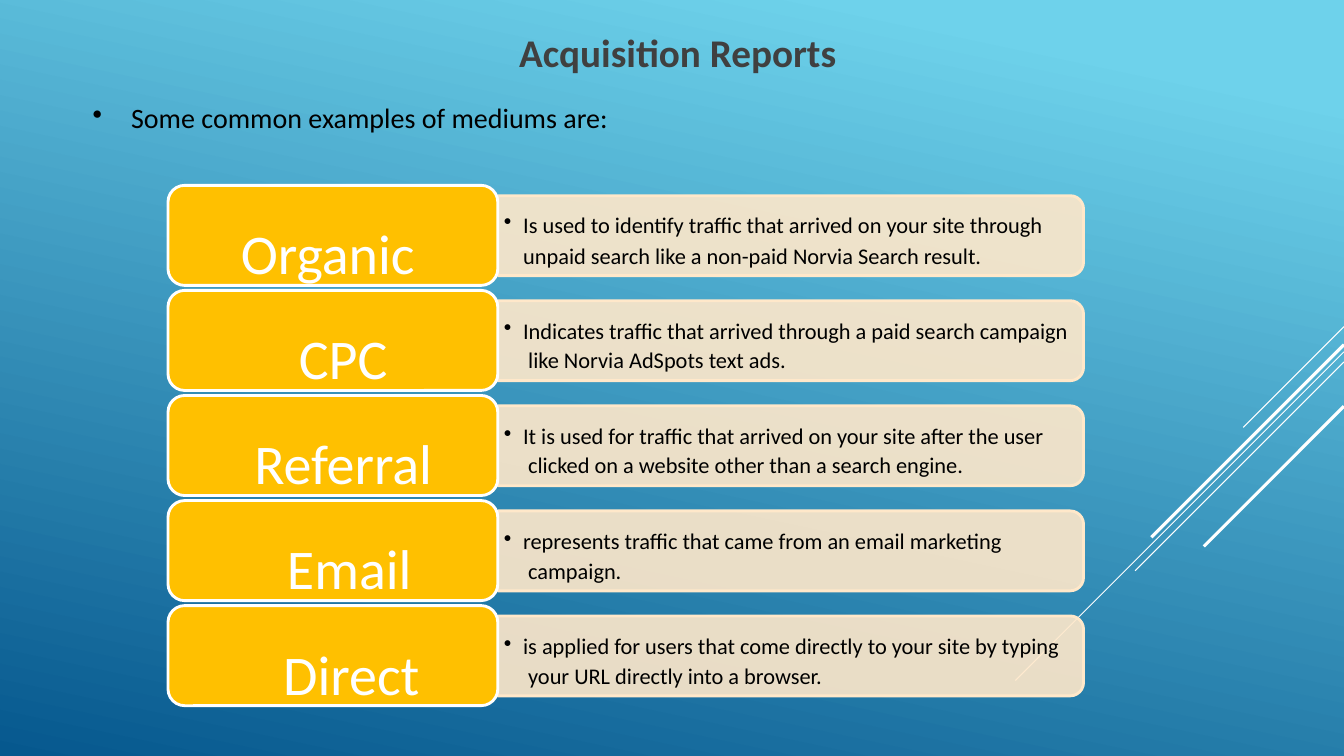
"""Build the Acquisition Reports slide listing common traffic mediums."""
from dataclasses import dataclass
from math import cos, radians, sin

from lxml import etree
from pptx import Presentation
from pptx.dml import color
from pptx.enum import shapes, text
from pptx.oxml import ns
from pptx.util import Pt

COLOURS = {
    "sky": "6ED2EB",
    "sea": "06588E",
    "title": "404040",
    "black": "000000",
    "white": "FFFFFF",
    "panel": "FFE8CA",
    "card": "FFC000",
}
FONT = "Calibri"
ROW_PITCH = 75.05
CARD_LEFT, CARD_TOP, CARD_WIDTH, CARD_HEIGHT = 120, 132.4, 235.6, 71.5
PANEL_LEFT, PANEL_TOP, PANEL_WIDTH, PANEL_HEIGHT = 355.6, 139.8, 418.4, 57.1
PANEL_RADIUS = 9.5
OUTLINE = 2.04


@dataclass(frozen=True)
class Ray:
    """Diagonal line running down and left from the right edge."""

    top: float
    run: float
    weight: float


@dataclass(frozen=True)
class Medium:
    """One traffic medium with its label position and description."""

    name: str
    label_left: float
    description: str
    width: float
    inset: float = 2.9
    spacing: float = 1.09


RAYS = [
    Ray(233.3, 72, 0.75),
    Ray(251.3, 234.7, 0.75),
    Ray(258.5, 149.2, 0.75),
    Ray(246.2, 137.6, 2.25),
    Ray(290.2, 100.1, 2.25),
]
MEDIUMS = [
    Medium("Organic ", 155.5, "Is used to identify traffic that arrived on your site through\v"
           "unpaid search like a non-paid Norvia Search result.", 388.1, 0.7, 1.15),
    Medium("CPC", 162, "Indicates traffic that arrived through a paid search campaign\v"
           " like Norvia AdSpots text ads.", 406.1),
    Medium("Referral", 162, "It is used for traffic that arrived on your site after the user\v"
           " clicked on a website other than a search engine.", 388.8),
    Medium("Email", 166.3, "represents traffic that came from an email marketing\v"
           " campaign.", 370),
    Medium("Direct", 167.8, "is applied for users that come directly to your site by typing\v"
           " your URL directly into a browser.", 398.9),
]


def rgb(name: str) -> color.RGBColor:
    """Return the named colour."""
    return color.RGBColor.from_string(COLOURS[name])


def write(shape, words: str, size: float, colour: str, top_inset: float = 0.7):
    """Put one formatted paragraph in a shape and return it."""
    frame = shape.text_frame
    frame.word_wrap = True
    frame.auto_size = text.MSO_AUTO_SIZE.NONE
    frame.vertical_anchor = text.MSO_ANCHOR.TOP
    frame.margin_left = frame.margin_right = frame.margin_bottom = 0
    frame.margin_top = Pt(top_inset)
    para = frame.paragraphs[0]
    para.text = words
    para.alignment = text.PP_ALIGN.LEFT
    para.font.name = FONT
    para.font.size = Pt(size)
    para.font.color.rgb = rgb(colour)
    return para


def add_box(page, left: float, top: float, width: float, height: float):
    """Add an empty text box."""
    return page.shapes.add_textbox(Pt(left), Pt(top), Pt(width), Pt(height))


def add_bullet(para, margin: float, indent: float) -> None:
    """Give a paragraph a hanging round black bullet."""
    props = para._p.get_or_add_pPr()
    props.set("marL", str(Pt(margin)))
    props.set("indent", str(Pt(indent)))
    tint = etree.Element(ns.qn("a:buClr"))
    etree.SubElement(tint, ns.qn("a:srgbClr"), val=COLOURS["black"])
    mark = etree.Element(ns.qn("a:buChar"), char="•")
    defaults = props.find(ns.qn("a:defRPr"))
    defaults.addprevious(tint)
    defaults.addprevious(mark)


def paint(shape, fill: str, line: str) -> None:
    """Set a flat fill and outline."""
    shape.shadow.inherit = False
    shape.fill.solid()
    shape.fill.fore_color.rgb = rgb(fill)
    shape.line.color.rgb = rgb(line)
    shape.line.width = Pt(OUTLINE)


def add_ray(page, ray: Ray, edge: float) -> None:
    """Draw one diagonal line."""
    line = page.shapes.add_connector(
        shapes.MSO_CONNECTOR.STRAIGHT,
        Pt(edge), Pt(ray.top), Pt(edge - ray.run), Pt(ray.top + ray.run))
    line.line.color.rgb = rgb("white")
    line.line.width = Pt(ray.weight)
    etree.SubElement(line.element.spPr, ns.qn("a:effectLst"))


def add_panel(page, top: float) -> None:
    """Draw a translucent panel with rounded right corners."""
    right, bottom = PANEL_LEFT + PANEL_WIDTH, top + PANEL_HEIGHT
    centre_x = right - PANEL_RADIUS
    corners = [(top + PANEL_RADIUS, -90), (bottom - PANEL_RADIUS, 0)]
    points = [
        (Pt(centre_x + PANEL_RADIUS * cos(radians(start + step))),
         Pt(centre_y + PANEL_RADIUS * sin(radians(start + step))))
        for centre_y, start in corners for step in range(0, 91, 15)
    ]
    outline = page.shapes.build_freeform(Pt(PANEL_LEFT), Pt(top))
    outline.add_line_segments(points + [(Pt(PANEL_LEFT), Pt(bottom))], close=True)
    panel = outline.convert_to_shape()
    paint(panel, "panel", "panel")
    tint = panel.element.spPr.find(ns.qn("a:solidFill"))[0]
    etree.SubElement(tint, ns.qn("a:alpha"), val="90000")


def add_medium(page, medium: Medium, offset: float) -> None:
    """Draw the panel, description, card and label of one medium."""
    add_panel(page, PANEL_TOP + offset)
    box = add_box(page, 359.3, 147 + offset, medium.width, 39)
    para = write(box, medium.description, 16, "black", medium.inset)
    para.line_spacing = medium.spacing
    add_bullet(para, 14.4, -13.7)

    card = page.shapes.add_shape(
        shapes.MSO_SHAPE.ROUNDED_RECTANGLE,
        Pt(CARD_LEFT), Pt(CARD_TOP + offset), Pt(CARD_WIDTH), Pt(CARD_HEIGHT))
    paint(card, "card", "white")
    label = add_box(page, medium.label_left, 138.3 + offset, 166.3, CARD_HEIGHT)
    para = write(label, medium.name, 40, "white")
    para.alignment = text.PP_ALIGN.CENTER
    para.line_spacing = 1.36


def main() -> None:
    """Build and save the deck."""
    deck = Presentation()
    deck.slide_width, deck.slide_height = Pt(960), Pt(540)
    page = deck.slides.add_slide(deck.slide_layouts.get_by_name("Title Only"))

    backdrop = page.background.fill
    backdrop.gradient()
    backdrop.gradient_angle = 258
    for stop, (name, position) in zip(backdrop.gradient_stops, [("sky", 0.1), ("sea", 1)]):
        stop.color.rgb = rgb(name)
        stop.position = position

    title = page.shapes.title
    title.left, title.top, title.width, title.height = Pt(370.8), Pt(19.4), Pt(300), Pt(36)
    write(title, "Acquisition Reports", 28, "title").font.bold = True

    for ray in RAYS:
        add_ray(page, ray, 960)
    intro = add_box(page, 46.1, 71.4, 749.5, 26)
    add_bullet(write(intro, "Some common examples of mediums are:", 20, "black"), 47.5, -27.4)
    for row, medium in enumerate(MEDIUMS):
        add_medium(page, medium, row * ROW_PITCH)

    deck.save("out.pptx")


if __name__ == "__main__":
    main()
